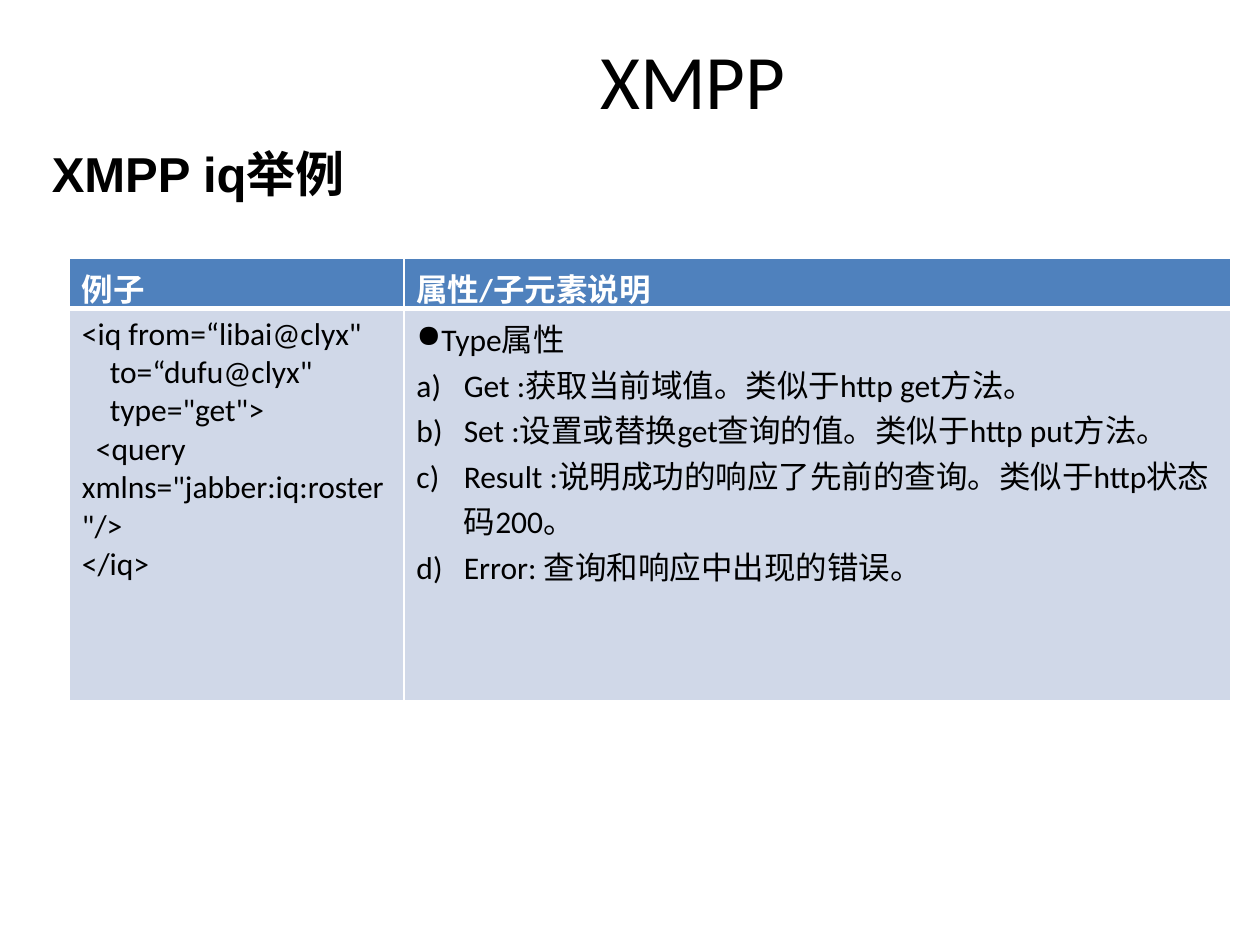
from dataclasses import dataclass

from lxml.etree import SubElement
from pptx import Presentation
from pptx.dml.color import RGBColor as Rgb
from pptx.enum.text import MSO_ANCHOR as Anchor, PP_ALIGN as Align
from pptx.oxml.ns import qn
from pptx.util import Pt


@dataclass(frozen=True)
class Theme:
    heading_font: str = "Arial"
    body_font: str = "Calibri"
    title_size: int = 44
    heading_size: int = 28
    body_size: int = 18
    black: str = "000000"
    white: str = "FFFFFF"
    header_fill: str = "4F81BD"
    body_fill: str = "D0D8E8"


THEME = Theme()
HEADERS = ["例子", "属性/子元素说明"]
# Each line of the stanza with its first-line indent in points
STANZA = [
    ('<iq from=“libai@clyx"', 0),
    ('to=“dufu@clyx"', 16),
    ('type="get">', 16),
    ('<query xmlns="jabber:iq:roster"/>', 8),
    ("</iq>", 0),
]
ATTRIBUTE = "Type属性"
VALUES = [
    "Get :获取当前域值。类似于http get方法。",
    "Set :设置或替换get查询的值。类似于http put方法。",
    "Result :说明成功的响应了先前的查询。类似于http状态码200。",
    "Error: 查询和响应中出现的错误。",
]


def style(para, size, color=THEME.black, bold=False, name=THEME.body_font):
    font = para.font
    font.size, font.bold, font.name = Pt(size), bold, name
    font.color.rgb = Rgb.from_string(color)


def add_label(page, box, text, align=Align.LEFT, anchor=Anchor.TOP, **font):
    frame = page.shapes.add_textbox(*map(Pt, box)).text_frame
    frame.word_wrap = True
    frame.vertical_anchor = anchor
    para = frame.paragraphs[0]
    para.text, para.alignment = text, align
    style(para, **font)


def set_borders(cell, **widths):
    """Draw white borders; call before filling, as lines precede the fill."""
    props = cell._tc.get_or_add_tcPr()
    for side in "LRTB":
        line = SubElement(props, qn(f"a:ln{side}"), w=str(Pt(widths.get(side, 1))))
        fill = SubElement(line, qn("a:solidFill"))
        SubElement(fill, qn("a:srgbClr"), val=THEME.white)


def set_indent(para, first, left=0):
    props = para._p.get_or_add_pPr()
    props.set("marL", str(Pt(left)))
    props.set("indent", str(Pt(first)))
    return props


def write_lines(cell, lines):
    """Write one paragraph per line and return the paragraphs."""
    cell.text = "\n".join(lines)
    for para in cell.text_frame.paragraphs:
        style(para, THEME.body_size)
    return cell.text_frame.paragraphs


def fill_header(cell, text):
    set_borders(cell, B=3)
    cell.fill.solid()
    cell.fill.fore_color.rgb = Rgb.from_string(THEME.header_fill)
    cell.text = text
    style(cell.text_frame.paragraphs[0], THEME.body_size, THEME.white, True)


def fill_stanza(cell):
    paras = write_lines(cell, [text for text, _ in STANZA])
    for para, (_, indent) in zip(paras, STANZA):
        set_indent(para, indent)


def fill_attributes(cell):
    bullet, *numbered = write_lines(cell, [ATTRIBUTE, *VALUES])
    SubElement(set_indent(bullet, 0), qn("a:buChar"), char="●")
    for para in numbered:
        props = set_indent(para, -27, 27)
        SubElement(props, qn("a:buFont"), typeface="+mj-lt")
        SubElement(props, qn("a:buAutoNum"), type="alphaLcParenR")


def add_example_table(page, box, first_width, header_height):
    left, top, width, height = box
    table = page.shapes.add_table(2, 2, *map(Pt, box)).table
    for column, size in zip(table.columns, (first_width, width - first_width)):
        column.width = Pt(size)
    for row, size in zip(table.rows, (header_height, height - header_height)):
        row.height = Pt(size)
    for index, text in enumerate(HEADERS):
        fill_header(table.cell(0, index), text)
    for index, fill_body in enumerate((fill_stanza, fill_attributes)):
        cell = table.cell(1, index)
        set_borders(cell, T=3)
        cell.fill.solid()
        cell.fill.fore_color.rgb = Rgb.from_string(THEME.body_fill)
        fill_body(cell)


def main():
    deck = Presentation()
    deck.slide_width, deck.slide_height = Pt(720), Pt(540)
    page = deck.slides.add_slide(deck.slide_layouts[6])
    add_label(page, (72, 0, 648, 90), "XMPP", Align.CENTER, Anchor.MIDDLE,
              size=THEME.title_size)
    add_label(page, (22.5, 78.75, 298, 41), "XMPP iq举例",
              size=THEME.heading_size, bold=True, name=THEME.heading_font)
    add_example_table(page, (39.6, 147.6, 663.8, 252), 191.2, 28)
    deck.save("out.pptx")


if __name__ == "__main__":
    main()
